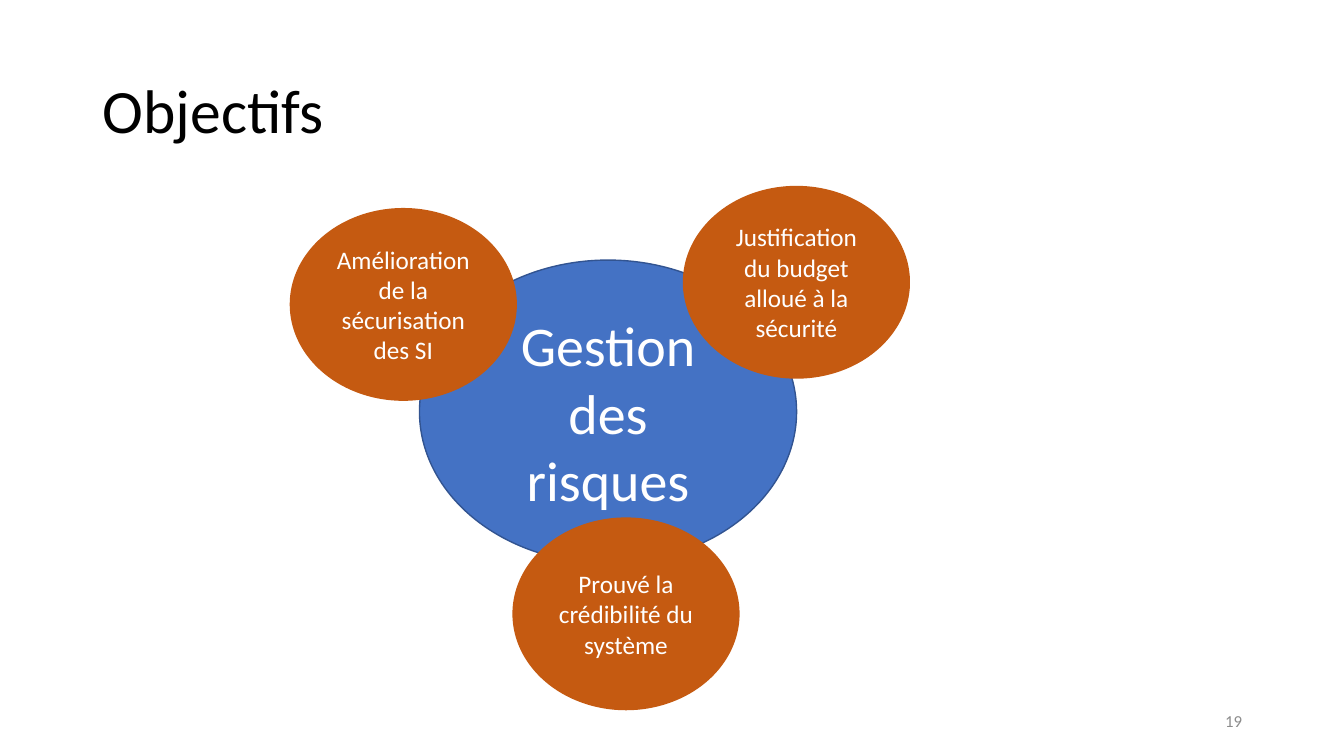
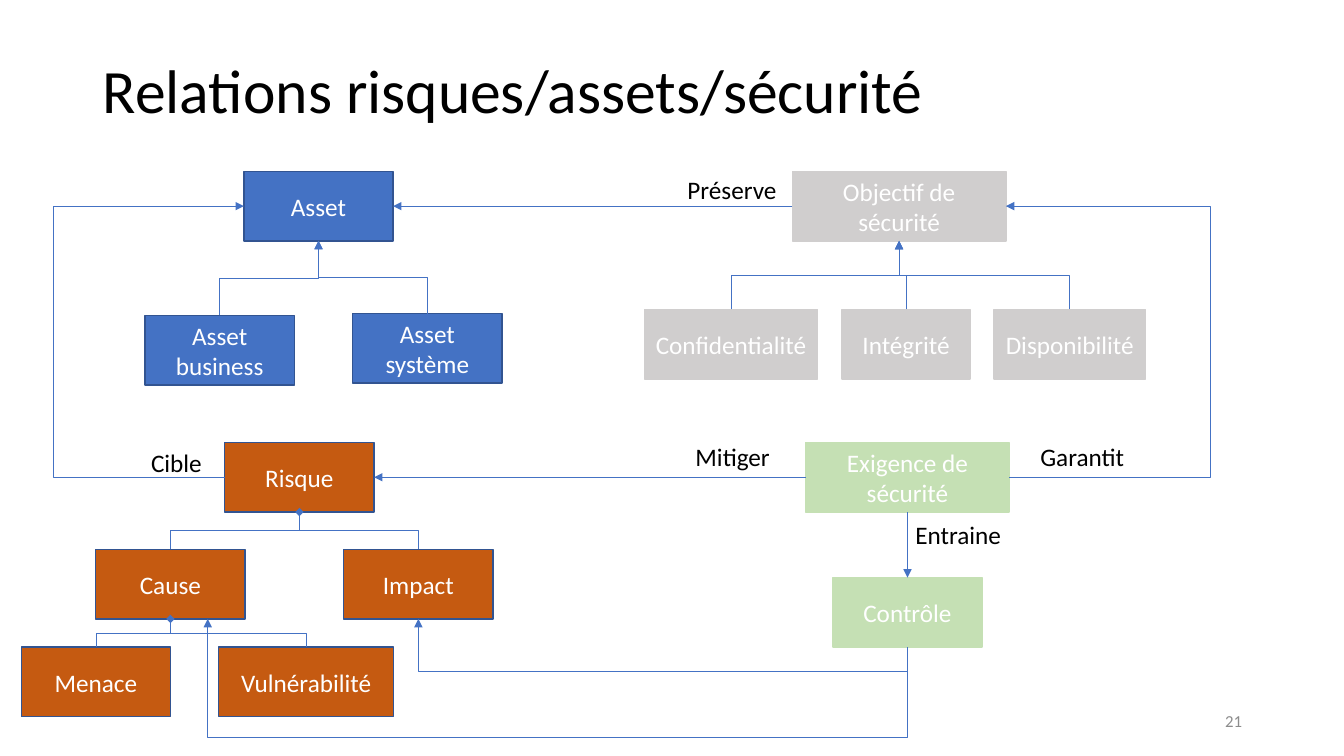
"""Build two slides on risk management: its goals, and how risks, assets and security relate."""
from lxml.etree import SubElement
from pptx import Presentation
from pptx.dml.color import RGBColor
from pptx.enum.shapes import MSO_CONNECTOR as WIRE, MSO_SHAPE as SHAPE
from pptx.enum.text import MSO_ANCHOR as ANCHOR, MSO_AUTO_SIZE as FIT, PP_ALIGN as ALIGN
from pptx.oxml.ns import qn
from pptx.util import Inches, Pt

COLOURS = {
    "black": "000000", "white": "FFFFFF", "number": "8C8C8C",
    "blue": "4472C4", "navy": "325491", "orange": "C55A11",
    "grey": "D0CECE", "green": "C5E0B4",
}
FONT = "Calibri"
TOP, LEFT, BOTTOM, RIGHT = range(4)

deck = Presentation()
deck.slide_width, deck.slide_height = Inches(13.33), Inches(7.5)
COLUMN, ROW = deck.slide_width / 100, deck.slide_height / 100


def colour(name):
    return RGBColor.from_string(COLOURS[name])


def fill_in(box, text, size, ink, align, anchor=ANCHOR.MIDDLE):
    frame = box.text_frame
    frame.text = text
    frame.word_wrap = True
    frame.auto_size = FIT.NONE
    frame.vertical_anchor = anchor
    for para in frame.paragraphs:
        para.alignment = align
        for span in para.runs:
            span.font.name, span.font.size = FONT, Pt(size)
            span.font.color.rgb = colour(ink)


pages = []
for heading, number, title_rows in [
    ("Objectifs", "19", 19.33),
    ("Relations risques/assets/sécurité", "21", 14.13),
]:
    page = deck.slides.add_slide(deck.slide_layouts[5])
    title = page.shapes.title
    title.left, title.top = int(6.9 * COLUMN), int(5.33 * ROW)
    title.width, title.height = int(86.27 * COLUMN), int(title_rows * ROW)
    fill_in(title, heading, 44, "black", ALIGN.LEFT)
    title.text_frame.paragraphs[0].line_spacing = 0.9
    footer = page.shapes.add_textbox(
        int(70.67 * COLUMN), int(92.67 * ROW), int(22.5 * COLUMN), int(5.33 * ROW))
    fill_in(footer, number, 12, "number", ALIGN.RIGHT)
    pages.append(page)
goals, relations = pages

SMALL = (16.8, 25.33)
CARD = 11.1
CARD_ROWS = 9.2
ellipses = [
    ("Gestion des risques", 31.21, 34.4, 28.06, 40.13, "blue", 40),
    ("Amélioration de la sécurisation des SI", 21.61, 27.6, *SMALL, "orange", 18),
    ("Justification du budget alloué à la sécurité", 50.86, 24.67, *SMALL, "orange", 18),
    ("Prouvé la crédibilité du système", 38.18, 68.53, *SMALL, "orange", 18),
]
cards = [
    ("Asset", 18.15, 22.67, CARD, "blue"),
    ("Asset\nbusiness", 10.8, 41.73, CARD, "blue"),
    ("Asset\nsystème", 26.25, 41.47, CARD, "blue"),
    ("Risque", 16.73, 58.53, CARD, "orange"),
    ("Cause", 7.13, 72.67, CARD, "orange"),
    ("Impact", 25.58, 72.67, CARD, "orange"),
    ("Menace", 1.58, 85.6, CARD, "orange"),
    ("Vulnérabilité", 16.28, 85.6, 13, "orange"),
    ("Objectif de sécurité", 58.95, 22.67, 15.9, "grey"),
    ("Confidentialité", 47.94, 40.93, 12.9, "grey"),
    ("Intégrité", 62.64, 40.93, 9.55, "grey"),
    ("Disponibilité", 73.97, 40.93, 11.25, "grey"),
    ("Exigence de sécurité", 59.95, 58.53, 15.14, "green"),
    ("Contrôle", 61.97, 76.4, CARD, "green"),
]
EDGES = {"blue": "navy", "orange": "navy", "grey": "grey", "green": "green"}

drawings = [(goals, SHAPE.OVAL, *ellipse, "navy" if ellipse[5] == "blue" else "orange")
            for ellipse in ellipses]
drawings += [(relations, SHAPE.RECTANGLE, text, x, y, columns, CARD_ROWS, fill, 18, EDGES[fill])
             for text, x, y, columns, fill in cards]
boxes = {}
for page, kind, text, x, y, columns, rows, fill, size, edge in drawings:
    box = page.shapes.add_shape(
        kind, int(x * COLUMN), int(y * ROW), int(columns * COLUMN), int(rows * ROW))
    box.shadow.inherit = False
    box.fill.solid()
    box.fill.fore_color.rgb = colour(fill)
    box.line.color.rgb = colour(edge)
    box.line.width = Pt(1)
    fill_in(box, text, size, "white", ALIGN.CENTER)
    boxes[text] = box

straight = [
    ("Objectif de sécurité", LEFT, "Asset", RIGHT),
    ("Exigence de sécurité", LEFT, "Risque", RIGHT),
    ("Exigence de sécurité", BOTTOM, "Contrôle", TOP),
]
trees = [
    ("Asset", "triangle", "triangle", ["Asset\nbusiness", "Asset\nsystème"]),
    ("Risque", "diamond", None, ["Cause", "Impact"]),
    ("Cause", "diamond", None, ["Menace", "Vulnérabilité"]),
    ("Objectif de sécurité", "triangle", "triangle",
     ["Confidentialité", "Intégrité", "Disponibilité"]),
]
detours = [
    ("Risque", LEFT, "Asset", LEFT, 3.98 * COLUMN, 0),
    ("Exigence de sécurité", RIGHT, "Objectif de sécurité", RIGHT, 90.1 * COLUMN, 0),
    ("Contrôle", BOTTOM, "Impact", BOTTOM, 88.8 * ROW, 0),
    ("Contrôle", BOTTOM, "Cause", BOTTOM, 97.47 * ROW, 8.33 * COLUMN),
]
links = [(WIRE.STRAIGHT, *link, "triangle", None, 0) for link in straight]
links += [(WIRE.ELBOW, child, TOP, parent, BOTTOM, later_tip if place else first_tip, None, 0)
          for parent, first_tip, later_tip, children in trees
          for place, child in enumerate(children)]
links += [(WIRE.ELBOW, source, out, target, into, "triangle", turn, shift)
          for source, out, target, into, turn, shift in detours]

for kind, source, out, target, into, tip, turn, shift in links:
    wire = relations.shapes.add_connector(kind, 0, 0, 0, 0)
    wire.begin_connect(boxes[source], out)
    goal = boxes[target]
    if shift:
        wire.end_x, wire.end_y = int(goal.left + shift), goal.top + goal.height
    else:
        wire.end_connect(goal, into)
    wire.line.color.rgb = colour("blue")
    wire.line.width = Pt(0.5)
    props = wire._element.spPr
    if tip:
        SubElement(props.find(qn("a:ln")), qn("a:tailEnd"), type=tip)
    SubElement(props, qn("a:effectLst"))
    if kind == WIRE.STRAIGHT:
        continue

    start_x, start_y, end_x, end_y = wire.begin_x, wire.begin_y, wire.end_x, wire.end_y
    across, down = end_x - start_x, end_y - start_y
    upright = out in (TOP, BOTTOM)
    if upright:
        wire.width, wire.height = abs(down), abs(across)
        wire.left = (start_x + end_x - abs(down)) // 2
        wire.top = (start_y + end_y - abs(across)) // 2
        frame = props.find(qn("a:xfrm"))
        frame.set("rot", str(90 * 60000))
        frame.set("flipH", str(int(down < 0)))
        frame.set("flipV", str(int(across > 0)))
    if turn is not None:
        share = (turn - start_y) / down if upright else (turn - start_x) / across
        geometry = props.find(qn("a:prstGeom"))
        guides = geometry.find(qn("a:avLst"))
        if guides is None:
            guides = SubElement(geometry, qn("a:avLst"))
        SubElement(guides, qn("a:gd"), name="adj1", fmla=f"val {round(share * 100000)}")

for text, x, y, columns in [
    ("Cible", 10.5, 58.53, 6.98),
    ("Préserve", 50.41, 22.4, 8.55),
    ("Garantit", 76.67, 57.73, 8.33),
    ("Mitiger", 51.01, 57.73, 8.33),
    ("Entraine", 67.37, 68, 8.93),
]:
    label = relations.shapes.add_textbox(
        int(x * COLUMN), int(y * ROW), int(columns * COLUMN), int(5.33 * ROW))
    fill_in(label, text, 18, "black", ALIGN.LEFT, ANCHOR.TOP)

deck.save("out.pptx")
